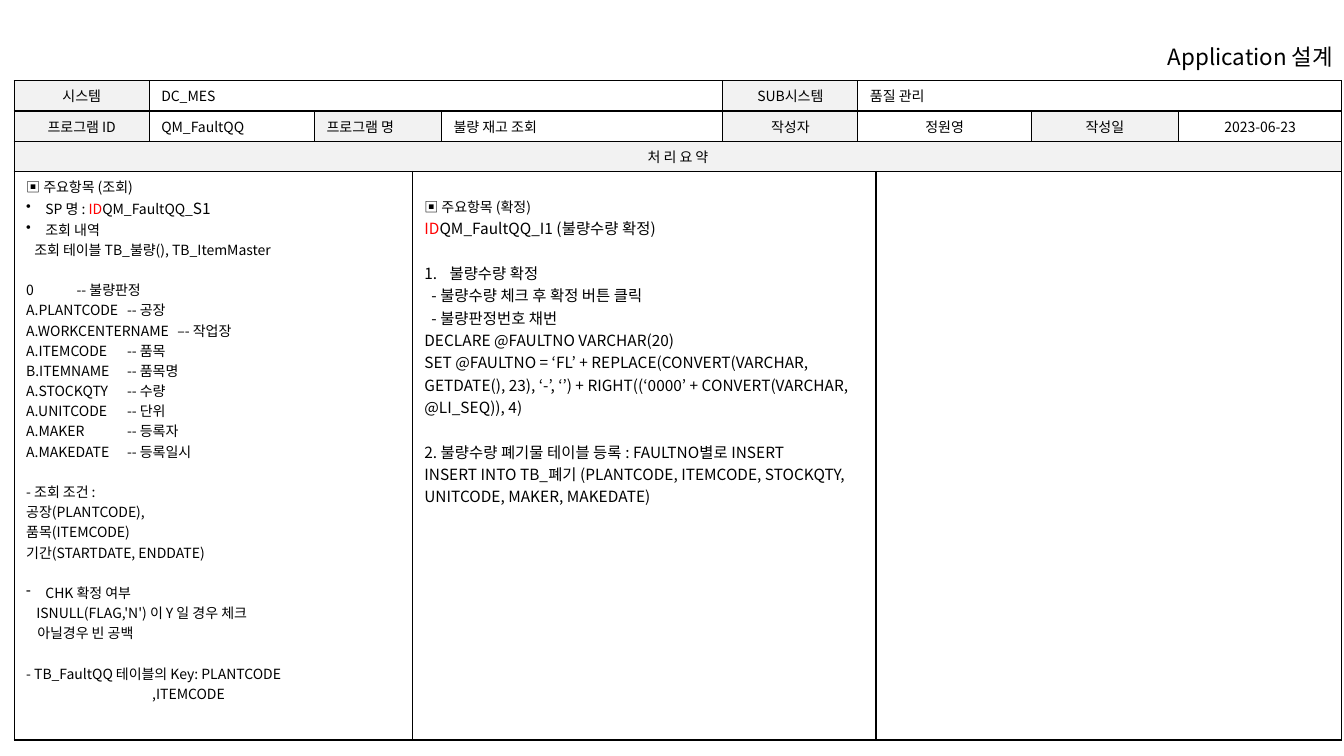
from dataclasses import dataclass

import pptx
import pptx.dml.color
import pptx.enum.text
import pptx.oxml
import pptx.oxml.ns
import pptx.table
import pptx.text.text
import pptx.util

Inches = pptx.util.Inches
Pt = pptx.util.Pt
RGB = pptx.dml.color.RGBColor
ALIGN = pptx.enum.text.PP_ALIGN
ANCHOR = pptx.enum.text.MSO_ANCHOR

BLACK = RGB(0x00, 0x00, 0x00)
RED = RGB(0xFF, 0x00, 0x00)
GRAY = RGB(0xF2, 0xF2, 0xF2)
FONT = "Noto Sans CJK KR"
NS = pptx.oxml.ns.nsdecls("a")


@dataclass
class Run:
    text: str
    size: float | None = None
    color: RGB = BLACK


@dataclass
class Line:
    """One paragraph; indent, hang and tab are in inches, gap in blank lines."""
    text: str | list[Run]
    indent: float = 0
    hang: float = 0
    mark: str = ""
    tab: float = 0
    gap: int = 0


@dataclass
class Box:
    """One table cell with the columns it spans."""
    row: int
    col: int
    span: int
    lines: list[Line]
    head: bool = False
    mid: bool = False
    size: float = 10
    top: float = 0.05


def add_xml(parent, body: str) -> None:
    parent.append(pptx.oxml.parse_xml(body))


def write(frame: pptx.text.text.TextFrame, lines: list[Line], *,
          size: float = 10, align: ALIGN = ALIGN.LEFT) -> None:
    for i, line in enumerate(lines):
        para = frame.paragraphs[0] if i == 0 else frame.add_paragraph()
        para.alignment = align
        if line.gap:
            para.space_before = Pt(line.gap * size * 1.45)
        # Indent, bullet and tab stop
        props = para._p.get_or_add_pPr()
        props.set("marL", str(Inches(line.indent)))
        props.set("indent", str(-Inches(line.hang)))
        if line.mark == "1.":
            add_xml(props, f'<a:buAutoNum {NS} type="arabicPeriod"/>')
        elif line.mark:
            add_xml(props, f'<a:buChar {NS} char="{line.mark}"/>')
        else:
            add_xml(props, f"<a:buNone {NS}/>")
        if line.tab:
            add_xml(props, f'<a:tabLst {NS}><a:tab pos="{Inches(line.tab)}" algn="l"/></a:tabLst>')
        # Runs
        parts = [Run(line.text)] if isinstance(line.text, str) else line.text
        for part in parts:
            run = para.add_run()
            run.text = part.text
            run.font.size = Pt(part.size or size)
            run.font.name = FONT
            run.font.color.rgb = part.color
            add_xml(run._r.get_or_add_rPr(), f'<a:ea {NS} typeface="{FONT}"/>')


def frame_cell(cell: pptx.table._Cell) -> None:
    for side in "LRTB":
        add_xml(cell._tc.get_or_add_tcPr(),
                f'<a:ln{side} {NS} w="{Pt(1)}"><a:solidFill><a:srgbClr val="{BLACK}"/>'
                f"</a:solidFill></a:ln{side}>")
    cell.fill.background()


def fill_box(grid: pptx.table.Table, box: Box) -> None:
    cell = grid.cell(box.row, box.col)
    if box.span > 1:
        cell.merge(grid.cell(box.row, box.col + box.span - 1))
    cell.margin_left = cell.margin_right = Inches(0.12)
    cell.margin_top, cell.margin_bottom = Inches(box.top), Inches(0.05)
    cell.vertical_anchor = ANCHOR.TOP if box.row == 3 else ANCHOR.MIDDLE
    if box.head:
        cell.fill.solid()
        cell.fill.fore_color.rgb = GRAY
    write(cell.text_frame, box.lines, size=box.size,
          align=ALIGN.CENTER if box.mid else ALIGN.LEFT)


def label(row: int, col: int, span: int, text: str, head: bool = False, mid: bool = False) -> Box:
    return Box(row, col, span, [Line(text)], head, mid)


# Queried fields: name, note, place of the note
FIELDS = [
    ("0", "-- 불량판정", 1.04), ("A.PLANTCODE", "-- 공장", 1.29),
    ("A.WORKCENTERNAME", "–- 작업장", 1.45), ("A.ITEMCODE", "-- 품목", 1.27),
    ("B.ITEMNAME", "-- 품목명", 1.31), ("A.STOCKQTY", "-- 수량", 1.25),
    ("A.UNITCODE", "-- 단위", 1.27), ("A.MAKER", "-- 등록자", 1.2),
    ("A.MAKEDATE", "-- 등록일시", 1.26),
]

QUERY = [
    Line("▣ 주요항목 (조회)"),
    Line([Run("SP 명 : "), Run("ID", color=RED), Run("QM_FaultQQ_"), Run("S1", 11)],
         0.19, 0.19, "•"),
    Line("조회 내역", 0.19, 0.19, "•"),
    Line("조회 테이블 TB_불량(), TB_ItemMaster", 0.08),
    *[Line(f"{name}\t{note}", tab=tab, gap=int(i == 0))
      for i, (name, note, tab) in enumerate(FIELDS)],
    Line("- 조회 조건 :", gap=1),
    Line("공장(PLANTCODE),"),
    Line("품목(ITEMCODE)"),
    Line("기간(STARTDATE, ENDDATE)"),
    Line("CHK 확정 여부", 0.19, 0.19, "-", gap=1),
    Line("ISNULL(FLAG,'N') 이 Y 일 경우 체크", 0.1),
    Line("아닐경우 빈 공백", 0.11),
    Line("- TB_FaultQQ 테이블의 Key: PLANTCODE", gap=1),
    Line(",ITEMCODE", 1.25),
]

CONFIRM = [
    Line([Run("▣ 주요항목 (확정)", 10)]),
    Line([Run("ID", color=RED), Run("QM_FaultQQ_I1 (불량수량 확정)")]),
    Line("불량수량 확정", 0.25, 0.25, "1.", gap=1),
    Line("- 불량수량 체크 후 확정 버튼 클릭", 0.07),
    Line("- 불량판정번호 채번", 0.07),
    Line("DECLARE @FAULTNO VARCHAR(20)"),
    Line("SET @FAULTNO = ‘FL’ + REPLACE(CONVERT(VARCHAR, GETDATE(), 23), ‘-’, ‘’)"
         " + RIGHT((‘0000’ + CONVERT(VARCHAR, @LI_SEQ)), 4)"),
    Line("2. 불량수량 폐기물 테이블 등록 : FAULTNO별로 INSERT", gap=1),
    Line("INSERT INTO TB_폐기 (PLANTCODE, ITEMCODE, STOCKQTY, UNITCODE, MAKER, MAKEDATE)"),
]

BOXES = [
    label(0, 0, 1, "시스템", True, True),
    label(0, 1, 4, "DC_MES"),
    label(0, 5, 1, "SUB시스템", True, True),
    label(0, 6, 4, "품질 관리"),
    label(1, 0, 1, "프로그램 ID", True, True),
    label(1, 1, 1, "QM_FaultQQ"),
    label(1, 2, 2, "프로그램 명", True),
    label(1, 4, 1, "불량 재고 조회"),
    label(1, 5, 1, "작성자", True, True),
    label(1, 6, 2, "정원영", mid=True),
    label(1, 8, 1, "작성일", True, True),
    label(1, 9, 1, "2023-06-23", mid=True),
    label(2, 0, 10, "처 리 요 약", True, True),
    Box(3, 0, 3, QUERY),
    Box(3, 3, 4, CONFIRM, size=11, top=0.25),
    Box(3, 7, 3, []),
]
COLS = [1.34, 1.64, 0.97, 0.29, 2.79, 1.34, 0.18, 1.54, 1.46, 1.62]
ROWS = [0.3, 0.3, 0.3, 5.64]


def main() -> None:
    deck = pptx.Presentation()
    deck.slide_width, deck.slide_height = Inches(13.33), Inches(7.5)
    slide = deck.slides.add_slide(deck.slide_layouts[6])

    # Form table
    grid = slide.shapes.add_table(len(ROWS), len(COLS), Inches(0.14), Inches(0.8),
                                  Inches(sum(COLS)), Inches(sum(ROWS))).table
    grid.first_row = grid.horz_banding = False
    for col, width in zip(grid.columns, COLS):
        col.width = Inches(width)
    for row, height in zip(grid.rows, ROWS):
        row.height = Inches(height)
    for cell in grid.iter_cells():
        frame_cell(cell)
    for box in BOXES:
        fill_box(grid, box)

    # Title
    title = slide.shapes.add_textbox(Inches(10.35), Inches(0.4), Inches(2.97), Inches(0.33))
    title.text_frame.word_wrap = True
    title.text_frame.vertical_anchor = ANCHOR.MIDDLE
    write(title.text_frame, [Line("Application 설계")], size=16, align=ALIGN.RIGHT)

    deck.save("out.pptx")


if __name__ == "__main__":
    main()
